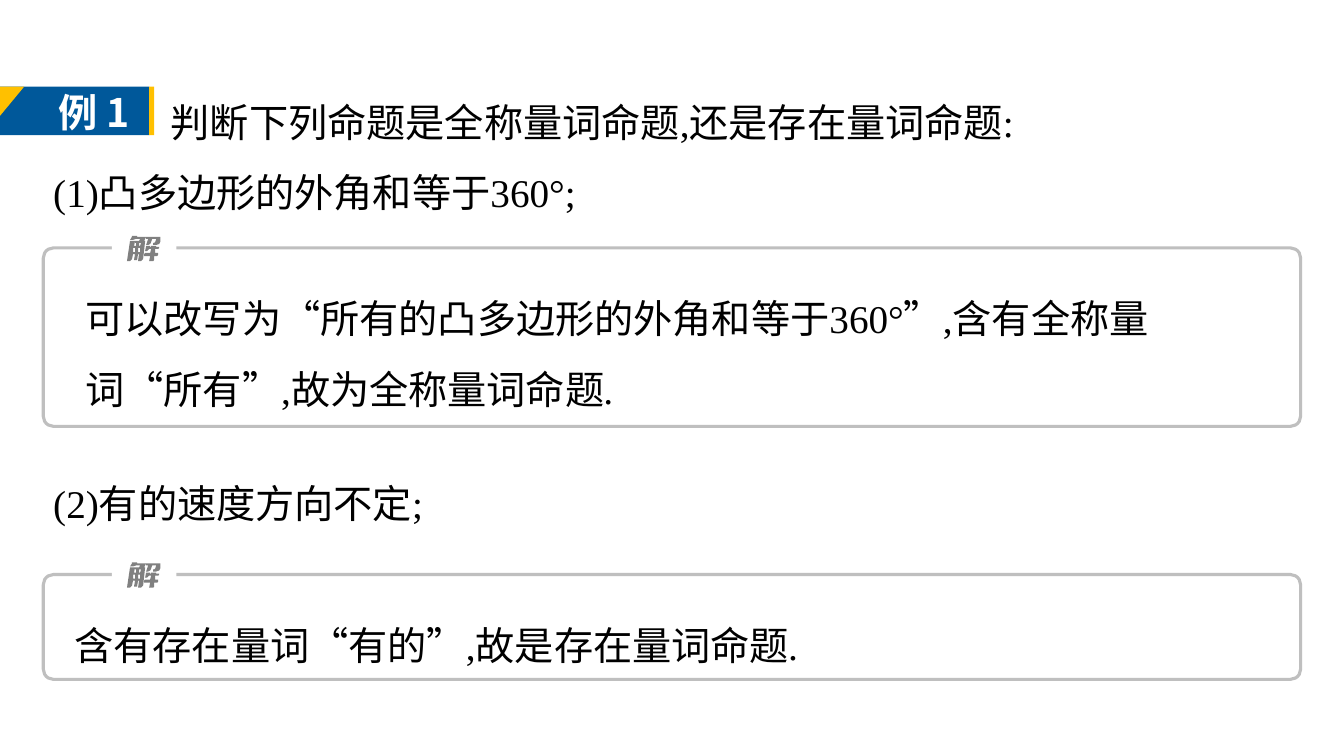
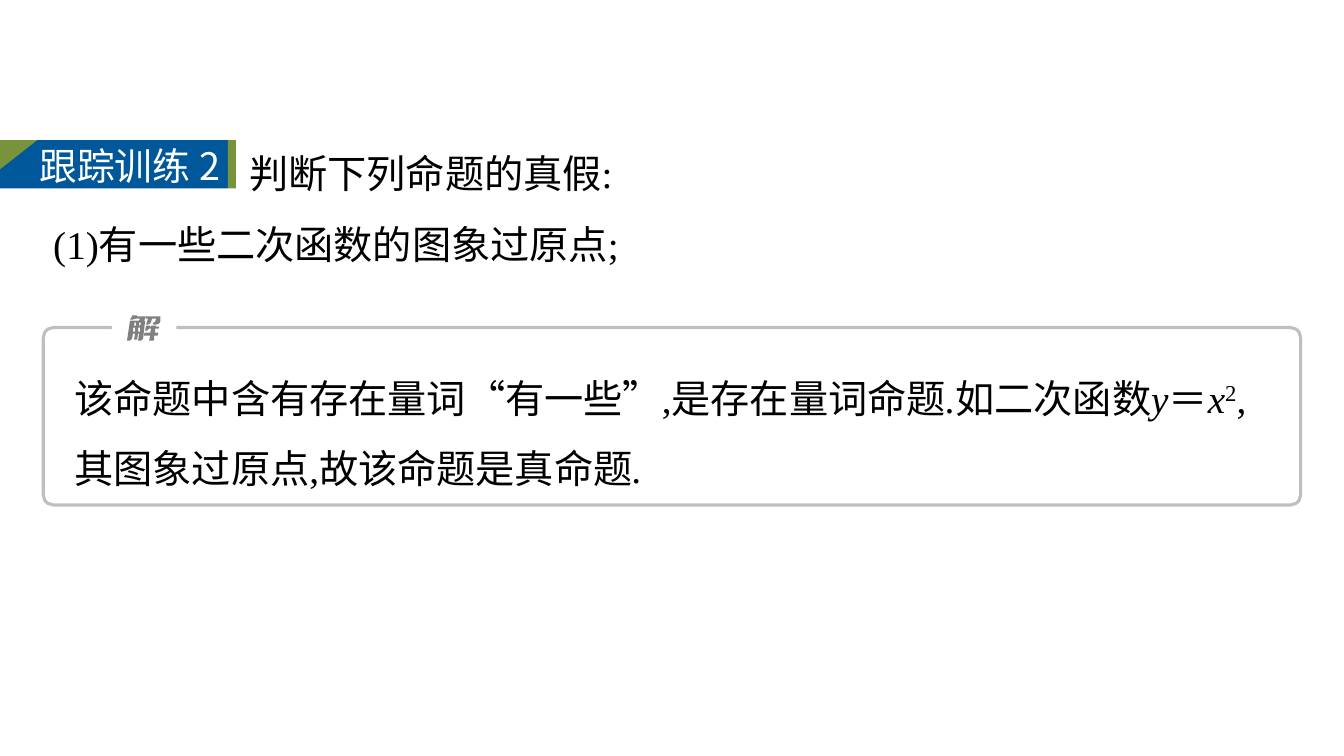
import itertools

import pptx
import pptx.dml.color
import pptx.enum.shapes
import pptx.enum.text
import pptx.oxml
import pptx.oxml.ns
import pptx.util

Inches = pptx.util.Inches
SHAPES = pptx.enum.shapes.MSO_SHAPE

COLORS = {"ink": "000000", "paper": "FFFFFF", "band": "00589A", "gold": "FFC000",
          "green": "77933C", "frame": "BFBFBF", "mark": "808080"}
LATIN_FONT, CHINESE_FONT = "Times New Roman", "Noto Sans CJK SC"
WIDE_SIGNS = "“”＝"
BODY_SIZE = 28
PAGE_WIDTH, MARGIN = 13.33, 0.43
CARD_WIDTH = PAGE_WIDTH - 2 * MARGIN
CARD_RADIUS = 0.1
BAND_HEIGHT = 0.48

ITALIC = {"italic": True}
SUPERSCRIPT = {"baseline": 30000}

# Contours of the sign 解, in hundredths of an inch
SIGN_CONTOURS = [
    [(11, 12), (11, 16), (13, 16), (13, 12)],
    [(6, 12), (6, 16), (8, 16), (8, 12)],
    [(25, 10), (29, 10), (29, 11), (32, 11), (32, 12), (31, 13), (28, 13), (28, 17),
     (31, 17), (31, 19), (30, 20), (27, 20), (27, 24), (26, 25), (22, 25), (23, 20),
     (17, 20), (17, 18), (18, 17), (23, 17), (24, 13), (22, 13), (20, 15), (18, 15),
     (19, 10), (23, 10), (23, 11), (24, 11), (24, 10)],
    [(12, 7), (12, 10), (13, 10), (14, 7)],
    [(20, 1), (33, 1), (33, 6), (32, 8), (29, 9), (26, 9), (26, 7), (27, 7), (28, 6),
     (29, 3), (25, 3), (24, 6), (23, 8), (21, 9), (19, 9), (21, 3), (19, 3), (19, 1)],
    [(5, 0), (10, 0), (10, 1), (19, 1), (17, 5), (18, 5), (16, 23), (14, 25), (11, 25),
     (12, 18), (11, 18), (10, 24), (7, 24), (8, 18), (6, 18), (5, 23), (3, 25), (0, 25),
     (3, 5), (8, 5), (7, 10), (9, 10), (9, 7), (8, 7), (8, 5), (12, 5), (13, 3), (9, 3),
     (6, 4), (3, 4), (5, 1)],
]

# "indent" counts the characters that the first line leaves free for the label
PAGES = [
    {
        "label": {"runs": [("例 ", LATIN_FONT), ("1", CHINESE_FONT)],
                  "font": {"size": pptx.util.Pt(28), "bold": True},
                  "at": (0.48, 0.83, 1, 0.57)},
        "band": {"top": 0.86, "width": 1.48, "corner": 0.24, "edge": 0.05, "accent": "gold"},
        "questions": [
            {"top": 0.69, "height": 1.44, "indent": 3,
             "lines": [["判断下列命题是全称量词命题,还是存在量词命题:"],
                       ["(1)凸多边形的外角和等于360°;"]]},
            {"top": 4.47, "height": 0.73, "indent": 0, "lines": [["(2)有的速度方向不定;"]]},
        ],
        "answers": [
            {"top": 2.46, "height": 1.77, "text_left": 0.75,
             "line": ["可以改写为“所有的凸多边形的外角和等于360°”,含有全称量词“所有”,故为全称量词命题",
                      (".", ITALIC)]},
            {"top": 5.7, "height": 1.04, "text_left": 0.64,
             "line": ["含有存在量词“有的”,故是存在量词命题", (".", ITALIC)]},
        ],
    },
    {
        "label": {"runs": [("跟踪训练 2", CHINESE_FONT)],
                  "font": {"size": pptx.util.Pt(27), "bold": False},
                  "at": (0.29, 1.37, 2.13, 0.56)},
        "band": {"top": 1.39, "width": 2.26, "corner": 0.37, "edge": 0.08, "accent": "green"},
        "questions": [
            {"top": 1.2, "height": 1.43, "indent": 5,
             "lines": [["判断下列命题的真假:"], ["(1)有一些二次函数的图象过原点;"]]},
        ],
        "answers": [
            {"top": 3.25, "height": 1.76, "text_left": 0.64,
             "line": ["该命题中含有存在量词“有一些”,是存在量词命题", (".", ITALIC), "如二次函数",
                      ("y", ITALIC), "＝", ("x", ITALIC), ("2", SUPERSCRIPT),
                      ",其图象过原点,故该命题是真命题", (".", ITALIC)]},
        ],
    },
]


def rgb(name):
    return pptx.dml.color.RGBColor.from_string(COLORS[name])


def lengths(*values):
    return [Inches(value) for value in values]


def paint(shape, fill=None, line=None):
    shape.shadow.inherit = False
    if fill:
        shape.fill.solid()
        shape.fill.fore_color.rgb = rgb(fill)
    else:
        shape.fill.background()
    if line:
        shape.line.color.rgb = rgb(line)
        shape.line.width = pptx.util.Pt(2.25)
    else:
        shape.line.fill.background()
    return shape


def add_rect(shapes, at, fill):
    return paint(shapes.add_shape(SHAPES.RECTANGLE, *lengths(*at)), fill)


def add_span(para, text, font_name, color, formats):
    """Add a run whose Chinese characters use the Chinese font."""
    span = para.add_run()
    span.text = text
    span.font.name = font_name
    span.font.color.rgb = rgb(color)
    properties = span.font._element
    east_asian = pptx.oxml.parse_xml(
        f'<a:ea {pptx.oxml.ns.nsdecls("a")} typeface="{CHINESE_FONT}"/>')
    properties.find(pptx.oxml.ns.qn("a:latin")).addnext(east_asian)
    for name, value in formats.items():
        if name == "baseline":
            properties.set(name, str(value))
        else:
            setattr(span.font, name, value)


def add_body(page, at, lines, indent=0):
    box = page.shapes.add_textbox(*lengths(*at))
    frame = box.text_frame
    frame.word_wrap = True
    for index, pieces in enumerate(lines):
        para = frame.add_paragraph() if index else frame.paragraphs[0]
        para.line_spacing = 1.5
        if indent and index == 0:
            para._p.get_or_add_pPr().set("indent", str(pptx.util.Pt(indent * BODY_SIZE)))
        for piece in pieces:
            text, formats = (piece, {}) if isinstance(piece, str) else piece
            formats = {"size": pptx.util.Pt(BODY_SIZE), **formats}
            for wide, signs in itertools.groupby(text, lambda sign: sign in WIDE_SIGNS):
                font_name = CHINESE_FONT if wide else LATIN_FONT
                add_span(para, "".join(signs), font_name, "ink", formats)


def add_label(page, label, band):
    """Draw the band at the left edge and put the title on it."""
    top, width, accent = band["top"], band["width"], band["accent"]
    add_rect(page.shapes, (0, top, width, BAND_HEIGHT), "band")
    corner = paint(page.shapes.add_shape(
        SHAPES.RIGHT_TRIANGLE, *lengths(0, top, band["corner"], 0.29)), accent)
    corner._element.spPr.xfrm.set("flipV", "1")
    add_rect(page.shapes, (width, top, band["edge"], BAND_HEIGHT), accent)

    title = page.shapes.title
    title.left, title.top, title.width, title.height = lengths(*label["at"])
    title._element.getparent().append(title._element)
    frame = title.text_frame
    frame.word_wrap = True
    frame.auto_size = pptx.enum.text.MSO_AUTO_SIZE.NONE
    frame.vertical_anchor = pptx.enum.text.MSO_ANCHOR.TOP
    para = frame.paragraphs[0]
    para.alignment = pptx.enum.text.PP_ALIGN.LEFT
    for text, font_name in label["runs"]:
        add_span(para, text, font_name, "paper", label["font"])


def add_sign(shapes, left, top):
    builder = None
    for start, *points in SIGN_CONTOURS:
        if builder is None:
            builder = shapes.build_freeform(*start, scale=Inches(0.01))
        else:
            builder.move_to(*start)
        builder.add_line_segments(points, close=True)
    paint(builder.convert_to_shape(*lengths(left, top)), "mark")


def add_answer(page, answer):
    top, height, left = answer["top"], answer["height"], answer["text_left"]
    add_body(page, (left, top + 0.18, PAGE_WIDTH - 2 * left, height - 0.33), [answer["line"]])
    shapes = page.shapes.add_group_shape().shapes
    card = paint(shapes.add_shape(
        SHAPES.ROUNDED_RECTANGLE, *lengths(MARGIN, top, CARD_WIDTH, height)), line="frame")
    card.adjustments[0] = CARD_RADIUS / height
    add_rect(shapes, (1.11, top - 0.13, 0.64, 0.24), "paper")
    add_sign(shapes, 1.26, top - 0.12)


def main():
    deck = pptx.Presentation()
    deck.slide_width, deck.slide_height = lengths(PAGE_WIDTH, 7.5)
    title_only = deck.slide_layouts[5]
    for content in PAGES:
        page = deck.slides.add_slide(title_only)
        for question in content["questions"]:
            at = (MARGIN, question["top"], CARD_WIDTH, question["height"])
            add_body(page, at, question["lines"], question["indent"])
        add_label(page, content["label"], content["band"])
        for answer in content["answers"]:
            add_answer(page, answer)
    deck.save("out.pptx")


if __name__ == "__main__":
    main()
